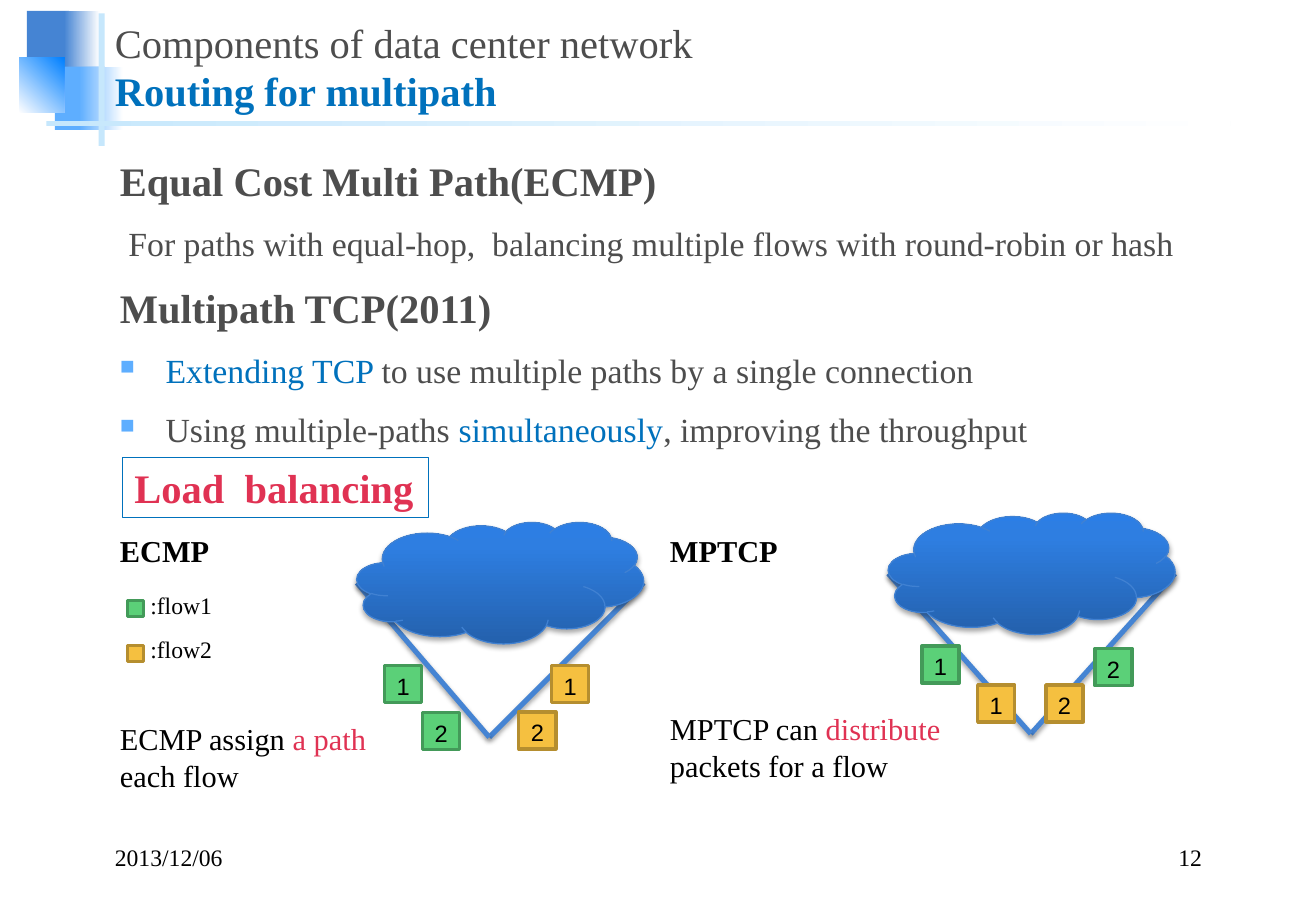
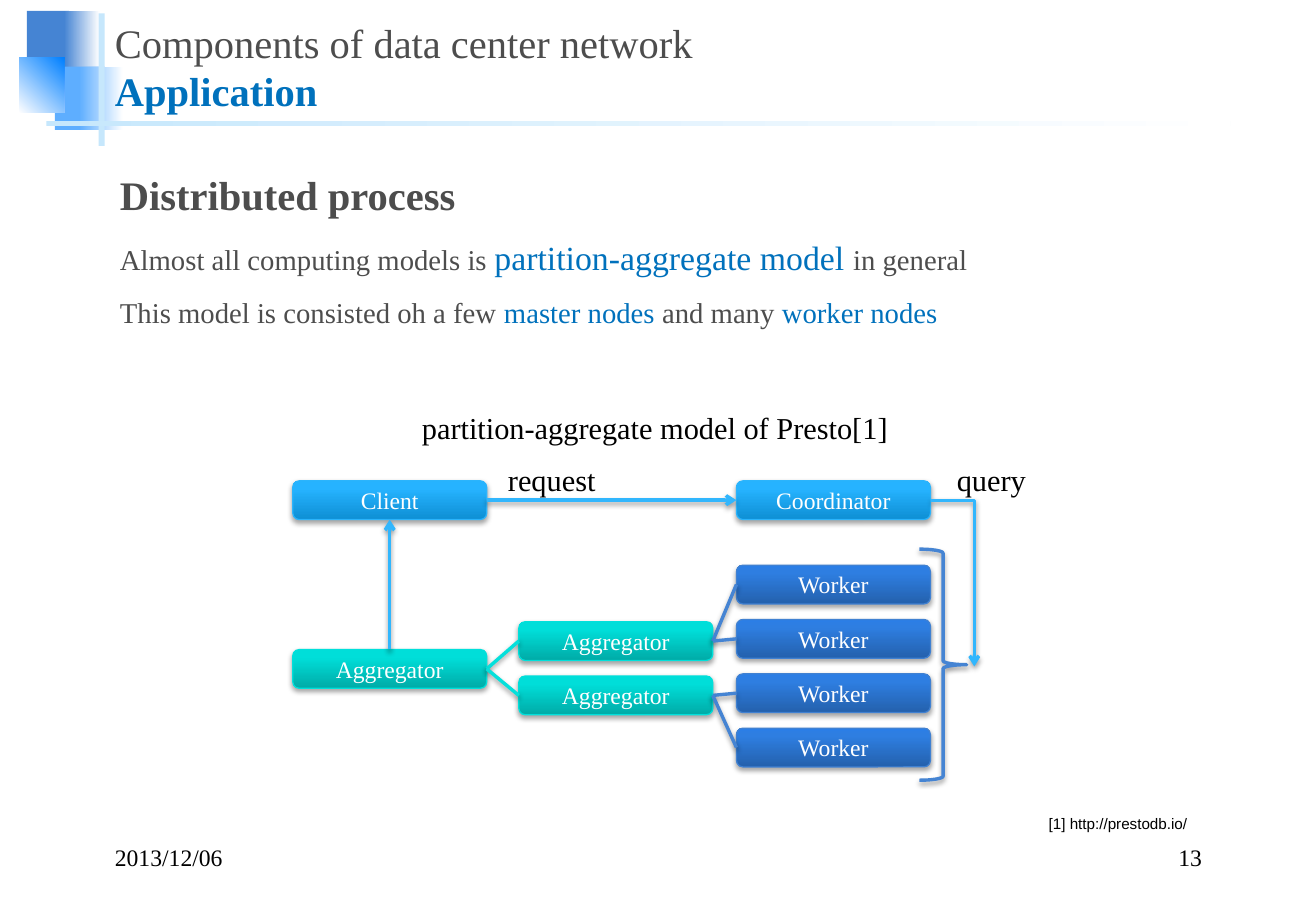
"""Build two slides on multipath routing and on the partition-aggregate model."""
from dataclasses import dataclass

from lxml import etree
from pptx import Presentation
from pptx import util as u
from pptx.dml.color import RGBColor
from pptx.enum import shapes, text
from pptx.oxml import parse_xml
from pptx.oxml.ns import nsdecls, qn

SERIF, SANS = "Times New Roman", "Arial"
BLACK, WHITE = RGBColor(0, 0, 0), RGBColor(255, 255, 255)
GREY = RGBColor(0x4D, 0x4D, 0x4D)
BLUE = RGBColor(0x00, 0x71, 0xBC)
RED = RGBColor(0xE0, 0x32, 0x53)
STEEL = RGBColor(0x45, 0x84, 0xD3)
SKY = RGBColor(0x5E, 0xAE, 0xFF)
AZURE = RGBColor(0x00, 0x80, 0xFF)
PALE = RGBColor(0xC6, 0xE7, 0xFC)
CYAN = RGBColor(0x31, 0xB6, 0xFD)
TEAL = RGBColor(0x05, 0xE0, 0xDB)

SHAPE = shapes.MSO_SHAPE
LINE = shapes.MSO_CONNECTOR
ALIGN = text.PP_ALIGN
ANCHOR = text.MSO_ANCHOR
TOP, LEFT, BOTTOM, RIGHT = range(4)


@dataclass(frozen=True)
class Area:
    left: float
    top: float
    width: float
    height: float


@dataclass(frozen=True)
class Paint:
    stops: tuple = ()
    angle: int = 0
    line: RGBColor | None = None
    weight: float = 0.75
    shadow: float = 0


@dataclass(frozen=True)
class Span:
    words: str
    size: float = 18
    color: RGBColor = BLACK
    bold: bool = False
    font: str = SERIF
    line_break: bool = False


@dataclass(frozen=True)
class Para:
    spans: tuple
    bullet: bool = False
    indent: float = 0


@dataclass(frozen=True)
class Packet:
    number: str
    left: float
    top: float
    flow: Paint


@dataclass(frozen=True)
class Network:
    name: str
    left: float
    cloud: Area
    tip: tuple
    note_top: float
    note: tuple
    packets: tuple


def solid(color: RGBColor, line: RGBColor | None = None, weight: float = 0.75) -> Paint:
    return Paint(((0, color),), 0, line, weight)


def fade(start: RGBColor, end: RGBColor, angle: int = 0) -> Paint:
    return Paint(((0, start), (100, end)), angle)


def glossy(low: str, mid: str, high: str, line: str) -> Paint:
    low, mid, high, line = map(RGBColor.from_string, (low, mid, high, line))
    return Paint(((0, low), (80, mid), (100, high)), 270, line, 0.75, 35)


FLOW1 = solid(RGBColor(0x5B, 0xD0, 0x78), RGBColor(0x43, 0x9A, 0x59), 2)
FLOW2 = solid(RGBColor(0xF5, 0xC0, 0x40), RGBColor(0xB5, 0x8E, 0x2F), 2)
DEEP = glossy("2461AD", "2E7EE1", "2B7EE6", "4081D2")
LIGHT = glossy("0E8FD4", "26B3FF", "27B4FF", "2BB4FC")
GREEN = glossy("00ABA7", "00DED9", "00DFDA", "00E0DB")

DECOR = (
    (Area(16, 6.5, 25, 37.5), solid(STEEL)),
    (Area(38, 6.5, 21, 37.5), fade(STEEL, WHITE)),
    (Area(32.5, 39.5, 29.5, 37.5), solid(SKY)),
    (Area(47, 39.5, 26, 37.5), fade(SKY, WHITE)),
    (Area(11.5, 34, 26.5, 33), fade(WHITE, AZURE, 315)),
    (Area(58.5, 8, 3.5, 78.5), solid(PALE)),
    (Area(27.5, 72, 702, 2.5), fade(PALE, WHITE)),
)

NETWORKS = (
    Network("ECMP", 64, Area(211.5, 309.5, 170, 72), (290, 437), 423.5,
            ("ECMP assign ", "a path", " each flow"),
            (Packet("1", 228, 394.5, FLOW1), Packet("2", 250.5, 422.5, FLOW1),
             Packet("1", 327, 394.5, FLOW2), Packet("2", 307.5, 422, FLOW2))),
    Network("MPTCP", 390, Area(526.5, 304, 170, 72), (611, 435), 417.5,
            ("MPTCP can ", "distribute", " packets for a flow"),
            (Packet("1", 546.5, 383, FLOW1), Packet("2", 649, 384.5, FLOW1),
             Packet("1", 579.5, 406, FLOW2), Packet("2", 620, 406, FLOW2))),
)


def write(box, *paras: Para, align=ALIGN.LEFT, anchor=ANCHOR.TOP,
          wrap: bool = True, spacing: float | None = None, before: float = 0):
    frame = box.text_frame
    frame.word_wrap = wrap
    frame.vertical_anchor = anchor
    for index, content in enumerate(paras):
        para = frame.paragraphs[0] if index == 0 else frame.add_paragraph()
        properties = para._p.get_or_add_pPr()
        if content.indent:
            properties.set("marL", str(u.Pt(content.indent)))
        if content.bullet:
            properties.set("indent", str(-u.Pt(content.indent)))
            for part in (f'<a:buClr {nsdecls("a")}><a:srgbClr val="{SKY}"/></a:buClr>',
                         f'<a:buSzPct {nsdecls("a")} val="60000"/>',
                         f'<a:buChar {nsdecls("a")} char="■"/>'):
                properties.append(parse_xml(part))
        para.alignment = align
        para.line_spacing = spacing
        if index and before:
            para.space_before = u.Pt(before)
        for part in content.spans:
            span = para.add_run()
            span.text = part.words
            span.font.name = part.font
            span.font.size = u.Pt(part.size)
            span.font.bold = part.bold
            span.font.color.rgb = part.color
            if part.line_break:
                para.add_line_break()
    return box


def add_label(page, area: Area, *spans: Span, **layout):
    box = page.shapes.add_textbox(*place(area))
    return write(box, Para(spans), **layout)


def place(area: Area) -> tuple:
    return tuple(map(u.Pt, (area.left, area.top, area.width, area.height)))


def cast_shadow(effects, alpha: float) -> None:
    effects.append(parse_xml(
        f'<a:outerShdw {nsdecls("a")} blurRad="{u.Pt(3.1)}" dist="{u.Pt(1.7)}" '
        f'dir="5400000" rotWithShape="0"><a:srgbClr val="{BLACK}">'
        f'<a:alpha val="{alpha * 1000}"/></a:srgbClr></a:outerShdw>'))


def add_box(page, kind, area: Area, paint: Paint):
    box = page.shapes.add_shape(kind, *place(area))
    box.shadow.inherit = False
    if not paint.stops:
        box.fill.background()
    elif len(paint.stops) == 1:
        box.fill.solid()
        box.fill.fore_color.rgb = paint.stops[0][1]
    else:
        box.fill.gradient()
        stops = "".join(f'<a:gs pos="{at * 1000}"><a:srgbClr val="{color}"/></a:gs>'
                        for at, color in paint.stops)
        plain = box._element.spPr.find(qn("a:gradFill"))
        plain.getparent().replace(plain, parse_xml(
            f'<a:gradFill {nsdecls("a")} rotWithShape="1"><a:gsLst>{stops}</a:gsLst>'
            f'<a:lin ang="{paint.angle * 60000}" scaled="0"/></a:gradFill>'))
    if paint.line is None:
        box.line.fill.background()
    else:
        box.line.color.rgb = paint.line
        box.line.width = u.Pt(paint.weight)
    if paint.shadow:
        cast_shadow(box._element.spPr.find(qn("a:effectLst")), paint.shadow)
    return box


def add_line(page, start: tuple, end: tuple, color: RGBColor, weight: float = 2,
             arrow: bool = False, kind=LINE.STRAIGHT):
    line = page.shapes.add_connector(kind, *map(u.Pt, (*start, *end)))
    line.line.color.rgb = color
    line.line.width = u.Pt(weight)
    properties = line._element.spPr
    if arrow:
        etree.SubElement(properties.find(qn("a:ln")), qn("a:tailEnd"), type="arrow")
    cast_shadow(etree.SubElement(properties, qn("a:effectLst")), 38)
    return line


def join(page, source, source_side: int, target, target_side: int,
         color: RGBColor, arrow: bool = False) -> None:
    line = add_line(page, (0, 0), (0, 0), color, arrow=arrow)
    line.begin_connect(source, source_side)
    line.end_connect(target, target_side)


def add_page(deck, topic: str, number: str):
    page = deck.slides.add_slide(deck.slide_layouts[6])
    for area, paint in DECOR:
        add_box(page, SHAPE.RECTANGLE, area, paint)
    add_label(page, Area(61, 6, 669, 65.5),
              Span("Components of data center network", 24, GREY, line_break=True),
              Span(topic, 24, BLUE, True), anchor=ANCHOR.BOTTOM)
    add_label(page, Area(61, 497, 163, 23), Span("2013/12/06", 14), anchor=ANCHOR.BOTTOM)
    add_label(page, Area(556.5, 497, 163, 23), Span(number, 14),
              anchor=ANCHOR.BOTTOM, align=ALIGN.RIGHT)
    return page


def add_body(page, area: Area, *paras: Para) -> None:
    write(page.shapes.add_textbox(*place(area)), *paras, spacing=1.2, before=6)


def add_network(page, network: Network) -> None:
    cloud = network.cloud
    middle = cloud.top + cloud.height / 2
    for side in (cloud.left + cloud.width, cloud.left):
        add_line(page, network.tip, (side, middle), STEEL, 3)
    add_box(page, SHAPE.CLOUD, cloud, DEEP)
    for packet in network.packets:
        box = add_box(page, SHAPE.RECTANGLE, Area(packet.left, packet.top, 22, 22), packet.flow)
        write(box, Para((Span(packet.number, 14, font=SANS),)), align=ALIGN.CENTER, wrap=False)
    add_label(page, Area(network.left, 312, 90, 29), Span(network.name, bold=True))
    before, key, after = network.note
    add_label(page, Area(network.left, network.note_top, 182, 51),
              Span(before), Span(key, color=RED), Span(after))


def build_routing(deck) -> None:
    page = add_page(deck, "Routing for multipath", "12")
    add_body(
        page, Area(64, 83, 652, 179),
        Para((Span("Equal Cost Multi Path(ECMP)", 24, GREY, True),)),
        Para((Span("For paths with equal-hop,  balancing multiple flows with "
                   "round-robin or hash", 20, GREY),), indent=5),
        Para((Span("Multipath TCP(2011)", 24, GREY, True),)),
        Para((Span("Extending TCP ", 20, BLUE),
              Span("to use multiple paths by a single connection", 20, GREY)), True, 27),
        Para((Span("Using multiple-paths ", 20, GREY), Span("simultaneously", 20, BLUE),
              Span(", improving the throughput", 20, GREY)), True, 27))
    for network in NETWORKS:
        add_network(page, network)
    for row, (name, flow) in enumerate(((":flow1", FLOW1), (":flow2", FLOW2))):
        shift = 26.5 * row
        add_box(page, SHAPE.RECTANGLE, Area(75.5, 356 + shift, 9.5, 9.5), flow)
        add_label(page, Area(82, 346.5 + shift, 60, 24.5), Span(name, 14))
    banner = add_box(page, SHAPE.RECTANGLE, Area(72.5, 271, 181.5, 36), solid(WHITE, BLUE))
    write(banner, Para((Span("Load  balancing", 24, RED, True),)), wrap=False)


def add_node(page, name: str, left: float, top: float, paint: Paint):
    box = add_box(page, SHAPE.ROUNDED_RECTANGLE, Area(left, top, 115, 23), paint)
    return write(box, Para((Span(name, 14, WHITE),)), align=ALIGN.CENTER, anchor=ANCHOR.MIDDLE)


def build_application(deck) -> None:
    page = add_page(deck, "Application", "13")
    add_body(
        page, Area(64, 91.5, 652, 120),
        Para((Span("Distributed process", 24, GREY, True),)),
        Para((Span("Almost all computing models is ", 17, GREY),
              Span("partition-aggregate model ", 20, BLUE), Span("in general", 17, GREY))),
        Para((Span("This model is consisted oh a few ", 17, GREY),
              Span("master nodes ", 17, BLUE), Span("and many ", 17, GREY),
              Span("worker nodes", 17, BLUE))))
    near, middle, far, step = 173.5, 307.5, 436.5, 32.2
    root = add_node(page, "Aggregator", near, 385, GREEN)
    client = add_node(page, "Client", near, 285, LIGHT)
    coordinator = add_node(page, "Coordinator", far, 285, LIGHT)
    workers = [add_node(page, "Worker", far, 335 + step * row, DEEP) for row in range(4)]
    add_box(page, SHAPE.RIGHT_BRACE, Area(545, 325.5, 28, 137),
            Paint(line=STEEL, weight=2, shadow=38))
    aggregators = [add_node(page, "Aggregator", middle, 368.5 + step * row, GREEN)
                   for row in range(2)]
    join(page, client, RIGHT, coordinator, LEFT, CYAN, arrow=True)
    query = add_line(page, (552, 296.5), (577.5, 395), CYAN, arrow=True, kind=LINE.ELBOW)
    query._element.spPr.find(qn("a:prstGeom")).set("prst", "bentConnector2")
    for index, worker in enumerate(workers):
        join(page, worker, LEFT, aggregators[index // 2], RIGHT, STEEL)
    for aggregator in aggregators:
        join(page, aggregator, LEFT, root, RIGHT, TEAL)
    join(page, root, TOP, client, BOTTOM, CYAN, arrow=True)
    add_label(page, Area(294, 270, 80, 29), Span("request"))
    add_label(page, Area(560, 270, 70, 29), Span("query"))
    add_label(page, Area(243, 239, 310, 29), Span("partition-aggregate model of Presto[1]"))
    add_label(page, Area(614.5, 479, 110, 18), Span("[1] http://prestodb.io/", 9, font=SANS))


def main() -> None:
    deck = Presentation()
    deck.slide_width, deck.slide_height = u.Pt(780), u.Pt(540)
    build_routing(deck)
    build_application(deck)
    deck.save("out.pptx")


if __name__ == "__main__":
    main()
